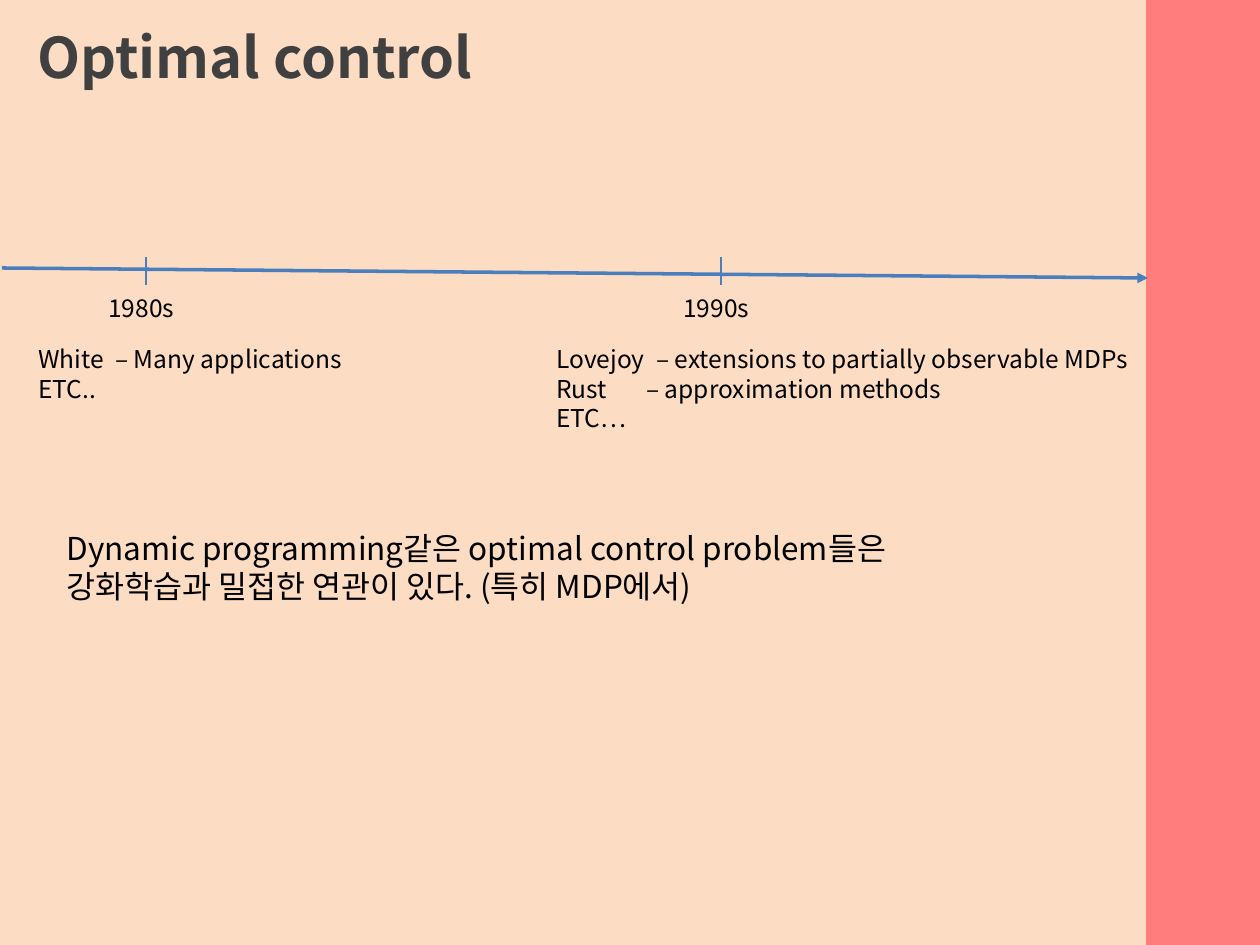
"""Builds the slide on the history of optimal control."""
from lxml.etree import SubElement
from pptx import Presentation
from pptx.dml.color import RGBColor
from pptx.enum.shapes import MSO_CONNECTOR, MSO_SHAPE
from pptx.enum.text import MSO_ANCHOR, MSO_AUTO_SIZE, PP_ALIGN
from pptx.oxml.ns import qn
from pptx.util import Pt

SCALE = 914400 / 126
FONT = "Noto Sans CJK KR"
COLORS = {
    "side": "FF6F6F",
    "main": "FCD9BC",
    "title": "404040",
    "text": "000000",
    "timeline": "4B7EBC",
}


def emu(*lengths):
    return [round(length * SCALE) for length in lengths]


class SlideBuilder:
    def __init__(self, slide):
        self.slide = slide
        self.shapes = slide.shapes

    def color(self, name):
        return RGBColor.from_string(COLORS[name])

    def style(self, paragraph, size, color, bold=False):
        font = paragraph.font
        font.size = Pt(size)
        font.bold = bold
        font.name = FONT
        font.color.rgb = self.color(color)
        properties = paragraph._p.pPr.find(qn("a:defRPr"))
        SubElement(properties, qn("a:ea"), typeface=FONT)

    def panel(self, color, left, width):
        panel = self.shapes.add_shape(MSO_SHAPE.RECTANGLE, *emu(left, 0, width, 945))
        panel.shadow.inherit = False
        panel.fill.solid()
        panel.fill.fore_color.rgb = self.color(color)
        fill_color = panel.fill._xPr.find(qn("a:solidFill"))[0]
        SubElement(fill_color, qn("a:alpha"), val="90000")
        panel.line.fill.background()

    def title(self, wording, left, top, width, height):
        title = self.shapes.title
        title.left, title.top, title.width, title.height = emu(left, top, width, height)
        self.shapes._spTree.append(title._element)
        frame = title.text_frame
        frame.text = wording
        frame.auto_size = MSO_AUTO_SIZE.NONE
        frame.vertical_anchor = MSO_ANCHOR.TOP
        heading = frame.paragraphs[0]
        heading.alignment = PP_ALIGN.LEFT
        self.style(heading, 32, "title", bold=True)

    def line(self, start, end, weight, arrow=False):
        line = self.shapes.add_connector(MSO_CONNECTOR.STRAIGHT, *emu(*start, *end))
        line.line.color.rgb = self.color("timeline")
        line.line.width = Pt(weight)
        if arrow:
            SubElement(line.line._get_or_add_ln(), qn("a:tailEnd"), type="triangle")
        SubElement(line._element.spPr, qn("a:effectLst"))

    def text(self, rows, left, top, width, height, size=14):
        """Write rows of (wording, tab stop in px or None)."""
        box = self.shapes.add_textbox(*emu(left, top, width, height))
        frame = box.text_frame
        frame.word_wrap = True
        frame.text = "\n".join(wording for wording, _ in rows)
        for paragraph, (_, stop) in zip(frame.paragraphs, rows):
            if stop:
                tabs = SubElement(paragraph._p.get_or_add_pPr(), qn("a:tabLst"))
                SubElement(tabs, qn("a:tab"), pos=str(emu(stop)[0]), algn="l")
            self.style(paragraph, size, "text")

    def decade(self, name, tick, notes, left, width, height):
        self.line((tick, 257), (tick, 285), 1)
        self.text([(name, None)], tick - 50, 287, 179, 43)
        self.text(notes, left, 338, width, height)


def main():
    deck = Presentation()
    deck.slide_width, deck.slide_height = emu(1260, 945)
    builder = SlideBuilder(deck.slides.add_slide(deck.slide_layouts[5]))

    builder.panel("side", 1146, 114)
    builder.panel("main", 0, 1146)
    builder.title("Optimal control", 25, 16, 1071, 81)

    builder.line((2, 268), (1148, 278), 2, arrow=True)
    eighties = [("White\t– Many applications", 77), ("ETC..", None)]
    nineties = [
        ("Lovejoy\t– extensions to partially observable MDPs", 100),
        ("Rust\t– approximation methods", 90),
        ("ETC…", None),
    ]
    builder.decade("1980s", 146, eighties, 26, 556, 72)
    builder.decade("1990s", 721, nineties, 544, 605, 102)

    conclusion = [
        ("Dynamic programming같은 optimal control problem들은", None),
        ("강화학습과 밀접한 연관이 있다. (특히 MDP에서)", None),
    ]
    builder.text(conclusion, 54, 523, 861, 89, size=18)
    deck.save("out.pptx")


if __name__ == "__main__":
    main()
